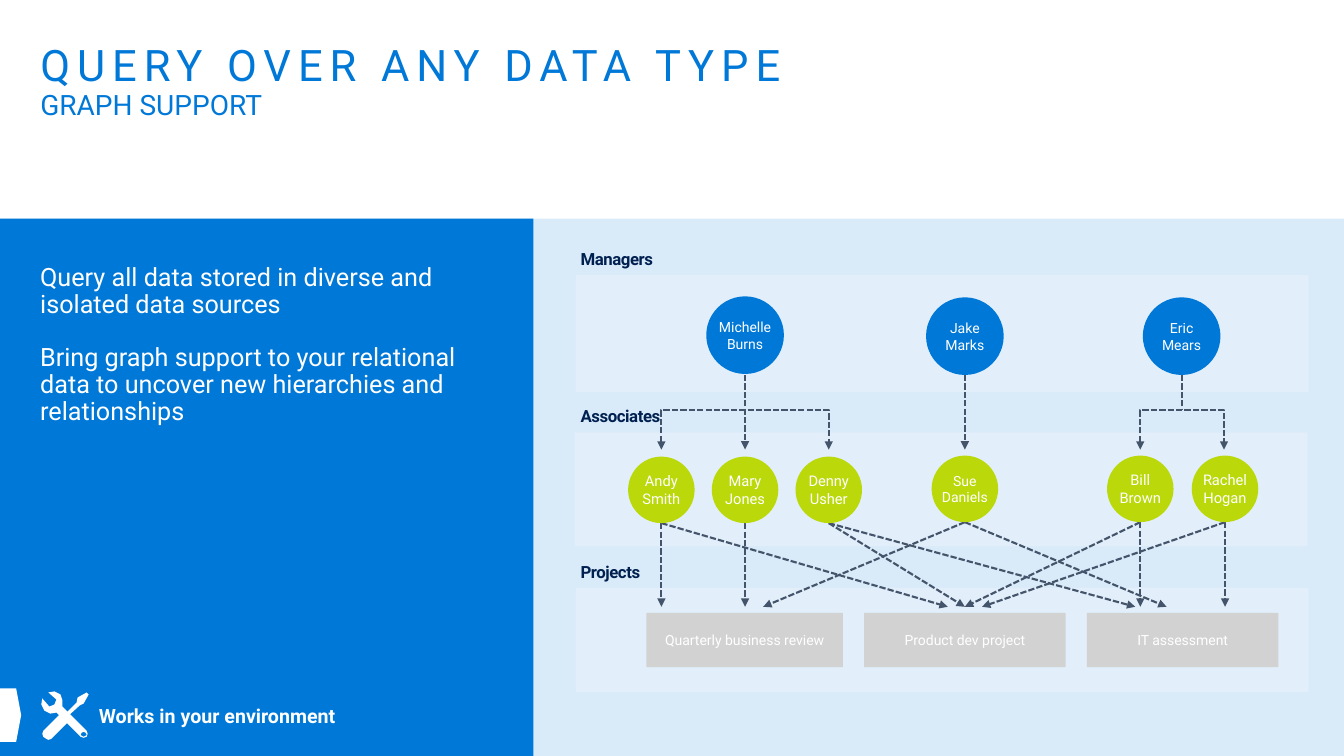
import pptx
import pptx.util
import pptx.dml.color
import pptx.enum.dml
import pptx.enum.shapes
import pptx.enum.text
import pptx.oxml
import pptx.oxml.ns

Inches = pptx.util.Inches
RGBColor = pptx.dml.color.RGBColor
MSO_SHAPE = pptx.enum.shapes.MSO_SHAPE
PP_ALIGN = pptx.enum.text.PP_ALIGN
MSO_ANCHOR = pptx.enum.text.MSO_ANCHOR

BLUE = RGBColor(0x00, 0x78, 0xD7)
NAVY = RGBColor(0x00, 0x20, 0x50)
SLATE = RGBColor(0x44, 0x54, 0x6A)
LIME = RGBColor(0xBA, 0xD8, 0x0A)
GRAY = RGBColor(0xD2, 0xD2, 0xD2)
WHITE = RGBColor(0xFF, 0xFF, 0xFF)
FONT = "Roboto"

# Graph data: distances in inches from the top left of the graph region
BANDS = [("Managers", 0.42, 0.56, 1.16), ("Associates", 0.41, 2.12, 1.13),
         ("Projects", 0.42, 3.66, 1.04)]
# name, centre x, top, centres of the associates below
MANAGERS = [("Michelle Burns", 2.1, 0.77, [1.27, 2.1, 2.93]),
            ("Jake Marks", 4.28, 0.78, [4.28]),
            ("Eric Mears", 6.43, 0.78, [6.02, 6.85])]
# name, centre x, top, text size, x of each arrow tip above the projects
ASSOCIATES = [("Andy Smith", 1.27, 2.36, 10.5, [1.27, 4.11]),
              ("Mary Jones", 2.1, 2.36, 10.5, [2.1]),
              ("Denny Usher", 2.93, 2.36, 10.5, [4.28, 5.97]),
              ("Sue Daniels", 4.28, 2.35, 10, [2.28, 6.28]),
              ("Bill Brown", 6.02, 2.35, 10.5, [6.02, 4.28]),
              ("Rachel Hogan", 6.86, 2.35, 10.5, [6.86, 4.45])]
PROJECTS = [("Quarterly business review", 1.12, 1.95),
            ("Product dev project", 3.28, 2), ("IT assessment", 5.49, 1.9)]

# Icon outlines: distances in inches from the top left of the icon
WRENCH = [(0.02, 0.07), (0.09, 0.15), (0.14, 0.13), (0.16, 0.08), (0.08, 0.01),
          (0.14, 0), (0.2, 0.03), (0.22, 0.09), (0.22, 0.15), (0.46, 0.39),
          (0.47, 0.42), (0.46, 0.45), (0.43, 0.46), (0.4, 0.45), (0.16, 0.21),
          (0.1, 0.22), (0.04, 0.19), (0.01, 0.13)]
WRENCH_HOLE = [(0.45, 0.44), (0.46, 0.43), (0.45, 0.41), (0.43, 0.4),
               (0.41, 0.41), (0.4, 0.43), (0.41, 0.44), (0.43, 0.45)]
SCREWDRIVER = [(0.06, 0.47), (0.03, 0.45), (0.02, 0.42), (0.03, 0.39),
               (0.2, 0.22), (0.23, 0.21), (0.25, 0.22), (0.36, 0.11),
               (0.37, 0.06), (0.46, 0.01), (0.48, 0.03), (0.43, 0.12),
               (0.39, 0.14), (0.28, 0.24), (0.29, 0.27), (0.28, 0.3),
               (0.11, 0.47), (0.08, 0.48)]


def write(paragraph, text, size, color, bold=False, tracking=None):
    run = paragraph.add_run()
    run.text = text
    run.font.name = FONT
    run.font.size = pptx.util.Pt(size)
    run.font.color.rgb = color
    run.font.bold = bold
    if tracking is not None:
        run.font._element.set("spc", str(round(tracking * 100)))


def set_insets(frame, left, top, right, bottom):
    frame.margin_left, frame.margin_top = Inches(left), Inches(top)
    frame.margin_right, frame.margin_bottom = Inches(right), Inches(bottom)


def add_text_area(slide, left, top, width, height):
    frame = slide.shapes.add_textbox(
        Inches(left), Inches(top), Inches(width), Inches(height)).text_frame
    frame.word_wrap = True
    return frame


def paint(shape, color, opacity=None):
    shape.shadow.inherit = False
    shape.fill.solid()
    shape.fill.fore_color.rgb = color
    shape.line.fill.background()
    if opacity is not None:
        srgb = shape.fill._xPr.find(".//" + pptx.oxml.ns.qn("a:srgbClr"))
        srgb.append(pptx.oxml.parse_xml(
            f'<a:alpha {pptx.oxml.ns.nsdecls("a")} val="{opacity * 1000}"/>'))


def add_block(slide, kind, left, top, width, height, color, opacity=None):
    block = slide.shapes.add_shape(
        kind, Inches(left), Inches(top), Inches(width), Inches(height))
    paint(block, color, opacity)
    return block


def add_node(slide, kind, left, top, width, height, color, text, size=10):
    frame = add_block(slide, kind, left, top, width, height, color).text_frame
    frame.word_wrap = True
    frame.vertical_anchor = MSO_ANCHOR.MIDDLE
    set_insets(frame, 0, 0.05, 0, 0.05)
    frame.paragraphs[0].alignment = PP_ALIGN.CENTER
    write(frame.paragraphs[0], text, size, WHITE)


def add_outline(slide, *contours, close=True):
    """Build one freeform from lists of points in inches."""
    points = [[(Inches(x), Inches(y)) for x, y in contour] for contour in contours]
    builder = slide.shapes.build_freeform(*points[0][0], scale=1.0)
    builder.add_line_segments(points[0][1:], close=close)
    for contour in points[1:]:
        builder.move_to(*contour[0])
        builder.add_line_segments(contour[1:], close=close)
    return builder.convert_to_shape()


def style_dashes(link, *arrow_ends):
    link.line.color.rgb = SLATE
    link.line.width = pptx.util.Pt(1.5)
    link.line.dash_style = pptx.enum.dml.MSO_LINE.SQUARE_DOT
    line_xml = link.line._get_or_add_ln()
    for end in arrow_ends:
        line_xml.append(pptx.oxml.parse_xml(
            f'<a:{end} {pptx.oxml.ns.nsdecls("a")} type="triangle"/>'))


def add_link(slide, x1, y1, x2, y2, arrow=True):
    link = slide.shapes.add_connector(
        pptx.enum.shapes.MSO_CONNECTOR.STRAIGHT,
        Inches(x1), Inches(y1), Inches(x2), Inches(y2))
    style_dashes(link, *(["tailEnd"] if arrow else []))
    link._element.spPr.append(pptx.oxml.parse_xml(
        f'<a:effectLst {pptx.oxml.ns.nsdecls("a")}/>'))


def place_title(slide, left, top, width, height):
    title = slide.shapes.title
    title.left, title.top = Inches(left), Inches(top)
    title.width, title.height = Inches(width), Inches(height)
    frame = title.text_frame
    frame.auto_size = pptx.enum.text.MSO_AUTO_SIZE.NONE
    frame.vertical_anchor = MSO_ANCHOR.TOP
    set_insets(frame, 0.1, 0.05, 0.1, 0.05)
    heading = frame.paragraphs[0]
    heading.alignment = PP_ALIGN.LEFT
    heading.line_spacing = 0.9
    write(heading, "QUERY OVER ANY DATA TYPE", 31, BLUE, tracking=5)
    heading.add_line_break()
    write(heading, "GRAPH SUPPORT", 20, BLUE, tracking=0)


def add_tools_icon(slide, left, top):
    for contours in ([WRENCH, WRENCH_HOLE], [SCREWDRIVER]):
        paint(add_outline(slide, *[[(left + x, top + y) for x, y in contour]
                                   for contour in contours]), WHITE)


def add_message_panel(slide, left, top, width, height):
    add_block(slide, MSO_SHAPE.RECTANGLE, left, top, width, height, BLUE)
    body = add_text_area(slide, left + 0.3, top + 0.41, width - 0.59, 3.76)
    messages = ["Query all data stored in diverse and isolated data sources",
                "Bring graph support to your relational data to uncover "
                "new hierarchies and relationships"]
    for index, message in enumerate(messages):
        paragraph = body.add_paragraph() if index else body.paragraphs[0]
        paragraph.line_spacing = 0.9
        paragraph.space_before = pptx.util.Pt(18 if index else 0)
        write(paragraph, message, 18, WHITE)
    add_tools_icon(slide, left + 0.4, top + 4.69)
    footer = add_text_area(slide, left + 0.83, top + 4.71, 2.68, 0.55)
    set_insets(footer, 0.15, 0.1, 0.1, 0.05)
    write(footer.paragraphs[0], "Works in your environment", 14, WHITE, bold=True)
    marker = add_block(slide, MSO_SHAPE.PENTAGON, left, top + 4.66, 0.21, 0.53, WHITE)
    marker.adjustments[0] = 0.235


def add_graph(slide, left, top):
    for label, x, y, height in BANDS:
        add_block(slide, MSO_SHAPE.RECTANGLE, left + x, top + y, 7.27, height, WHITE, 24)
        caption = add_text_area(slide, left + 0.37, top + y - 0.31, 1.43, 0.3)
        write(caption.paragraphs[0], label, 12, NAVY, bold=True, tracking=-0.3)
    for name, x, width in PROJECTS:
        add_node(slide, MSO_SHAPE.RECTANGLE, left + x, top + 3.91, width, 0.54, GRAY, name)

    manager_bottom, fork, associate_tip = top + 1.55, top + 1.9, top + 2.29
    for name, x, y, reports in MANAGERS:
        add_node(slide, MSO_SHAPE.OVAL, left + x - 0.385, top + y, 0.77, 0.77, BLUE, name)
        straight = x in reports
        add_link(slide, left + x, manager_bottom, left + x,
                 associate_tip if straight else fork, arrow=straight)
        if len(reports) > 1:
            first, last = left + reports[0], left + reports[-1]
            bracket = add_outline(slide, [(first, associate_tip), (first, fork),
                                          (last, fork), (last, associate_tip)], close=False)
            bracket.shadow.inherit = False
            bracket.fill.background()
            style_dashes(bracket, "headEnd", "tailEnd")

    diameter = 0.66
    for name, x, y, size, targets in ASSOCIATES:
        for target in targets:
            add_link(slide, left + x, top + y + diameter, left + target, top + 3.85)
        add_node(slide, MSO_SHAPE.OVAL, left + x - diameter / 2, top + y,
                 diameter, diameter, LIME, name, size)


def main():
    deck = pptx.Presentation()
    deck.slide_width, deck.slide_height = Inches(13.33), Inches(7.5)
    slide = deck.slides.add_slide(deck.slide_layouts[5])
    place_title(slide, 0.3, 0.39, 12.83, 1.44)
    add_block(slide, MSO_SHAPE.RECTANGLE, 0, 2.17, 13.33, 5.33, BLUE, 15)
    add_message_panel(slide, 0, 2.17, 5.29, 5.33)
    add_graph(slide, 5.29, 2.17)
    deck.save("out.pptx")


if __name__ == "__main__":
    main()
